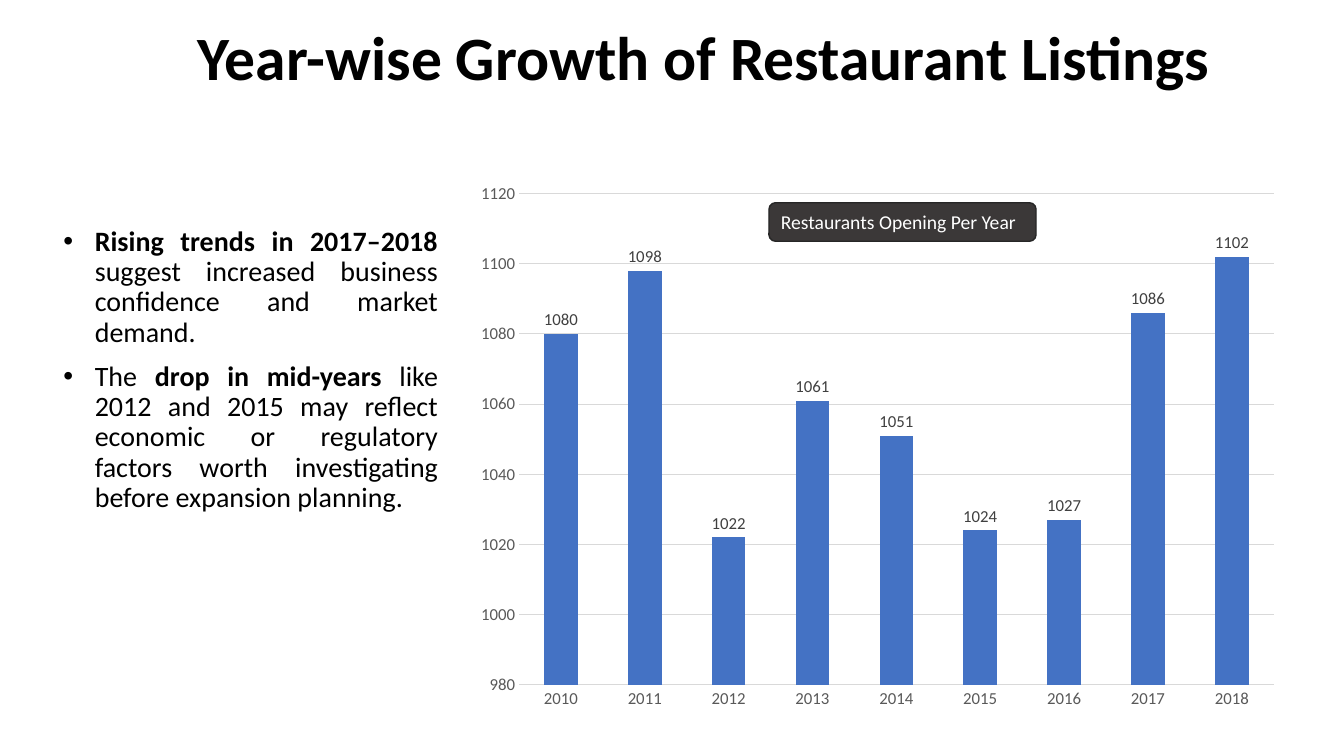
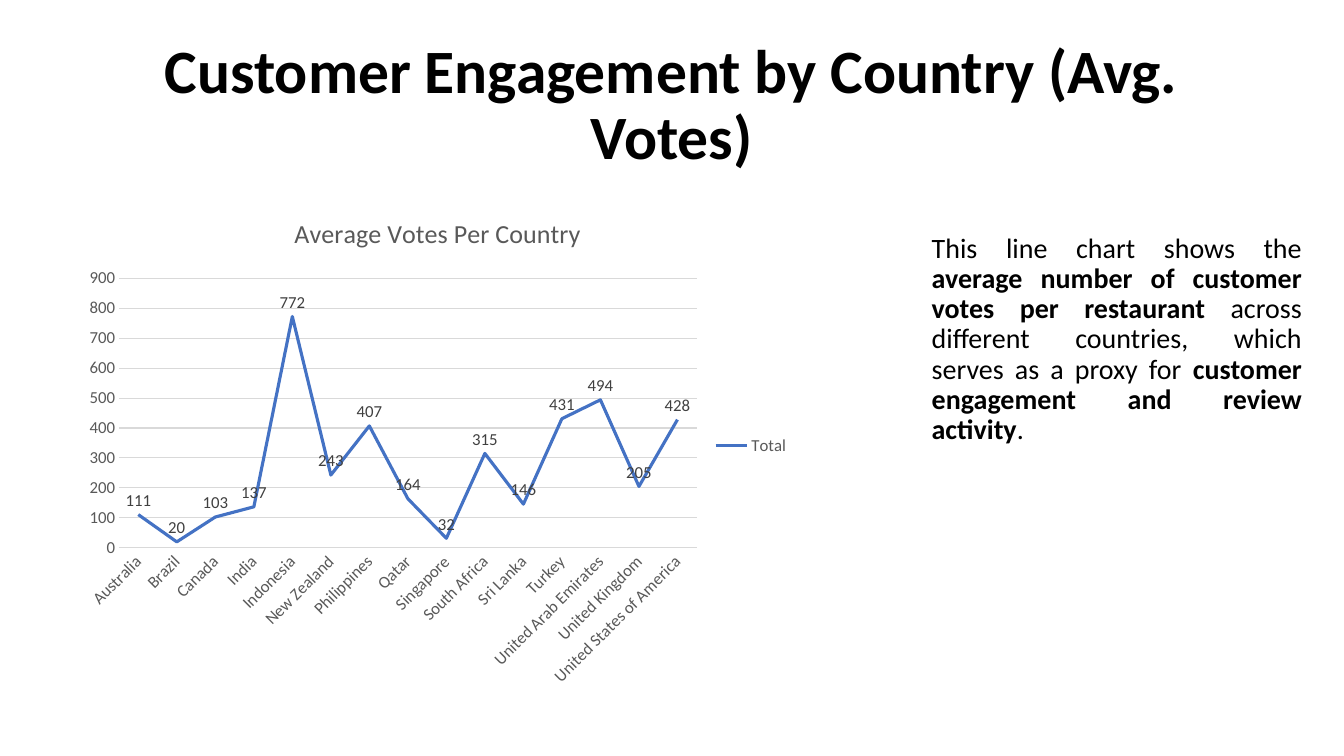
from dataclasses import dataclass

from lxml.etree import SubElement as Sub
from pptx import Presentation
from pptx.chart.data import CategoryChartData as Data
from pptx.dml.color import RGBColor as Rgb
from pptx.enum.chart import XL_CHART_TYPE as Kind
from pptx.enum.chart import XL_LABEL_POSITION as Spot
from pptx.enum.chart import XL_LEGEND_POSITION as Side
from pptx.enum.chart import XL_MARKER_STYLE as Mark
from pptx.enum.chart import XL_TICK_MARK as Tick
from pptx.enum.shapes import MSO_SHAPE as Shape
from pptx.enum.text import MSO_ANCHOR as Anchor
from pptx.enum.text import PP_ALIGN as Align
from pptx.oxml.ns import qn
from pptx.util import Cm, Pt


@dataclass(frozen=True)
class Theme:
    """Hold the colours, font and type sizes of the deck."""

    face: str = "Calibri"
    ink: str = "000000"
    white: str = "FFFFFF"
    blue: str = "4472C4"
    grid: str = "D9D9D9"
    axis: str = "595959"
    label: str = "404040"
    pill: str = "3B3838"
    edge: str = "262626"
    head: int = 44
    body: int = 20
    title: float = 18.62
    badge: int = 14
    small: int = 12


T = Theme()

YEARS = {
    "2010": 1080, "2011": 1098, "2012": 1022, "2013": 1061, "2014": 1051,
    "2015": 1024, "2016": 1027, "2017": 1086, "2018": 1102,
}
VOTES = {
    "Australia": 111, "Brazil": 20, "Canada": 103, "India": 137,
    "Indonesia": 772, "New Zealand": 243, "Philippines": 407, "Qatar": 164,
    "Singapore": 32, "South Africa": 315, "Sri Lanka": 146, "Turkey": 431,
    "United Arab Emirates": 494, "United Kingdom": 205,
    "United States of America": 428,
}
TRENDS = [
    "**Rising trends in 2017–2018** suggest increased business confidence "
    "and market demand.",
    "The **drop in mid-years** like 2012 and 2015 may reflect economic or "
    "regulatory factors worth investigating before expansion planning.",
]
PROXY = [
    "This line chart shows the **average number of customer votes per "
    "restaurant** across different countries, which serves as a proxy for "
    "**customer engagement and review activity**.",
]


def style(font, size, color, bold=False):
    """Set face, size, colour and weight of a font."""
    font.name, font.size, font.bold = T.face, Pt(size), bold
    font.color.rgb = Rgb.from_string(color)


def stroke(line, color, width):
    """Give a line its colour and width."""
    line.color.rgb = Rgb.from_string(color)
    line.width = Pt(width)


def frame(slide, box):
    """Add a wrapping text box and return its text frame."""
    text = slide.shapes.add_textbox(*map(Cm, box)).text_frame
    text.word_wrap = True
    return text


def heading(slide, words, box):
    """Add the bold centred slide title."""
    text = frame(slide, box)
    text.vertical_anchor = Anchor.BOTTOM
    para = text.paragraphs[0]
    para.text, para.alignment, para.line_spacing = words, Align.CENTER, 0.9
    style(para.font, T.head, T.ink, True)


def bullet(para):
    """Give a paragraph a hanging bullet."""
    props = para._p.get_or_add_pPr()
    props.set("marL", str(Cm(0.79)))
    props.set("indent", str(-Cm(0.79)))
    Sub(props, qn("a:buFont")).set("typeface", "Arial")
    Sub(props, qn("a:buChar")).set("char", "•")


def body(slide, items, box, dots=False):
    """Add justified paragraphs in which ** marks bold parts."""
    text = frame(slide, box)
    for i, item in enumerate(items):
        para = text.add_paragraph() if i else text.paragraphs[0]
        para.alignment, para.line_spacing = Align.JUSTIFY, 0.9
        para.space_before = Pt(10)
        if dots:
            bullet(para)
        style(para.font, T.body, T.ink)
        for j, part in enumerate(item.split("**")):
            if part:
                run = para.add_run()
                run.text, run.font.bold = part, j % 2 == 1


def badge(slide, words, box):
    """Add a dark rounded caption."""
    pill = slide.shapes.add_shape(Shape.ROUNDED_RECTANGLE, *map(Cm, box))
    pill.shadow.inherit = False
    pill.fill.solid()
    pill.fill.fore_color.rgb = Rgb.from_string(T.pill)
    stroke(pill.line, T.edge, 1)
    para = pill.text_frame.paragraphs[0]
    para.text, para.alignment = words, Align.LEFT
    style(para.font, T.badge, T.white)


def place(node, box, area):
    """Fix a chart part at a slide area, as shares of the chart box."""
    slot = node.find(qn("c:layout"))
    if slot is None:
        slot = node.makeelement(qn("c:layout"))
        node.insert(0, slot)
    rule = Sub(slot, qn("c:manualLayout"))
    if len(area) == 4:
        Sub(rule, qn("c:layoutTarget")).set("val", "inner")
    for key in "xy":
        Sub(rule, qn(f"c:{key}Mode")).set("val", "edge")
    left, top, wide, high = box
    base, span = (left, top, 0, 0), (wide, high, wide, high)
    for key, value, start, size in zip("xywh", area, base, span):
        Sub(rule, qn(f"c:{key}")).set("val", str((value - start) / size))


def axes(chart, low, high, step):
    """Style both axes and scale the value axis."""
    for axis in (chart.category_axis, chart.value_axis):
        axis.major_tick_mark = axis.minor_tick_mark = Tick.NONE
        axis.format.line.fill.background()
        style(axis.tick_labels.font, T.small, T.axis)
    axis.minimum_scale, axis.maximum_scale = low, high
    axis.major_unit = step
    axis.has_major_gridlines = True
    stroke(axis.major_gridlines.format.line, T.grid, 0.75)


def graph(slide, kind, name, values, box, scale, area, spot):
    """Add a one-series chart with value labels."""
    data = Data()
    data.categories = list(values)
    data.add_series(name, list(values.values()))
    chart = slide.shapes.add_chart(kind, *map(Cm, box), data).chart
    style(chart.font, T.small, T.axis)
    chart.has_title = chart.has_legend = False
    axes(chart, *scale)
    plot = chart.plots[0]
    plot.vary_by_categories = False
    plot.has_data_labels = True
    labels = plot.data_labels
    labels.show_value, labels.position = True, spot
    style(labels.font, T.small, T.label)
    place(chart._chartSpace.find(".//" + qn("c:plotArea")), box, area)
    return chart


def bars(slide):
    """Add the column chart of openings per year."""
    chart = graph(
        slide, Kind.COLUMN_CLUSTERED, "Series 1", YEARS,
        (11.71, 4.34, 20.8, 13.79), (980, 1120, 20),
        (13.08, 4.88, 19.02, 12.38), Spot.OUTSIDE_END,
    )
    plot = chart.plots[0]
    plot.gap_width = 150
    fill = plot.series[0].format.fill
    fill.solid()
    fill.fore_color.rgb = Rgb.from_string(T.blue)


def curve(slide):
    """Add the line chart of votes per country."""
    box = 1.85, 4.9, 18.31, 12.65
    chart = graph(
        slide, Kind.LINE, "Total", VOTES, box, (0, 900, 100),
        (3, 7.01, 14.56, 6.8), Spot.ABOVE,
    )
    line = chart.plots[0].series[0]
    line.smooth, line.marker.style = False, Mark.NONE
    stroke(line.format.line, T.blue, 2.25)
    axis = chart.category_axis
    stroke(axis.format.line, T.grid, 0.75)
    turn = axis._element.find(qn("c:txPr")).find(qn("a:bodyPr"))
    turn.set("rot", str(-45 * 60000))
    chart.has_legend = True
    chart.legend.position = Side.RIGHT
    chart.legend.include_in_layout = False
    style(chart.legend.font, T.small, T.axis)
    chart.has_title = True
    title = chart.chart_title
    para = title.text_frame.paragraphs[0]
    para.text = "Average Votes Per Country"
    style(para.font, T.title, T.axis)
    place(title._element, box, (7.3, 5.3))


def growth(slide):
    """Build the slide on yearly growth."""
    heading(slide, "Year-wise Growth of Restaurant Listings",
            (2.69, 0.66, 30.12, 1.83))
    body(slide, TRENDS, (1.35, 5.6, 9.94, 7.85), True)
    bars(slide)
    badge(slide, "Restaurants Opening Per Year", (19.38, 5.11, 6.73, 0.97))


def votes(slide):
    """Build the slide on customer engagement."""
    heading(slide, "Customer Engagement by Country (Avg. Votes)",
            (2.49, 1.82, 28.88, 2.67))
    body(slide, PROXY, (23.23, 5.77, 9.83, 9.07))
    curve(slide)


def main():
    """Build and save the deck."""
    deck = Presentation()
    deck.slide_width, deck.slide_height = Cm(33.87), Cm(19.05)
    for build in (growth, votes):
        build(deck.slides.add_slide(deck.slide_layouts[6]))
    deck.save("out.pptx")


if __name__ == "__main__":
    main()
